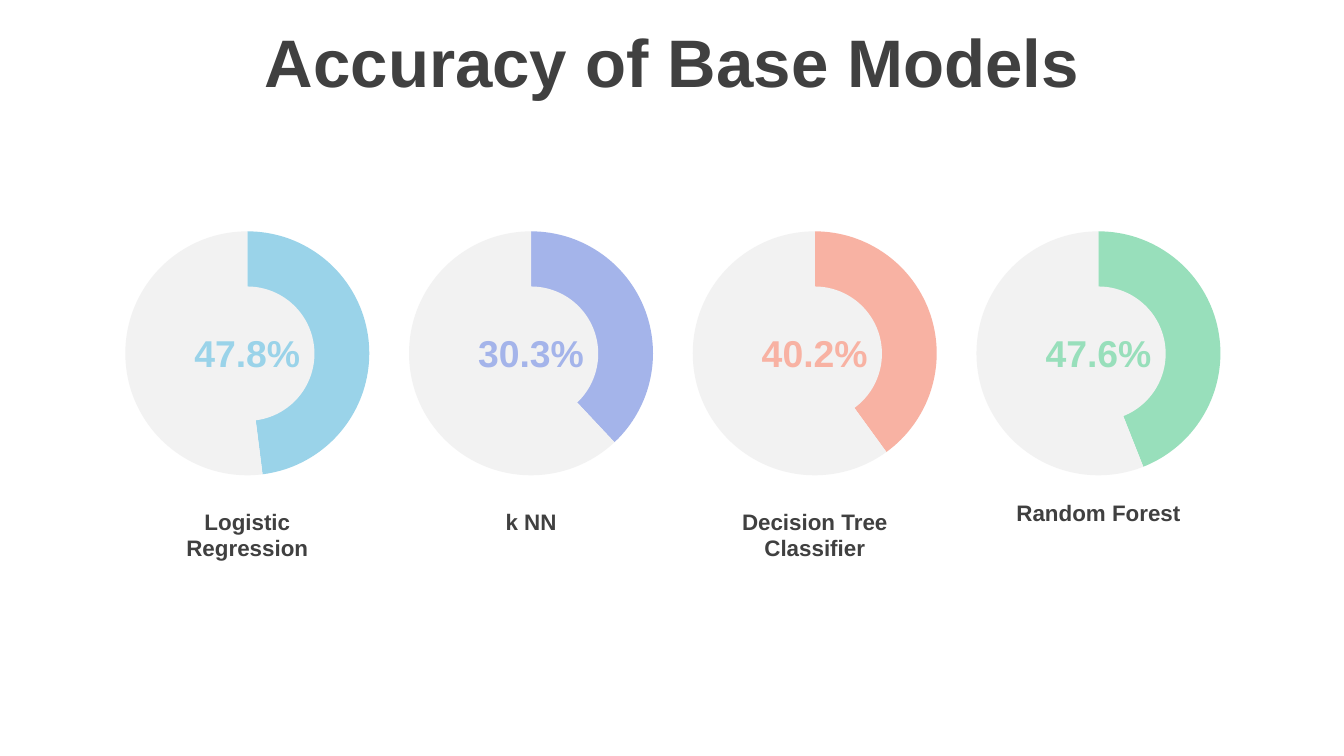
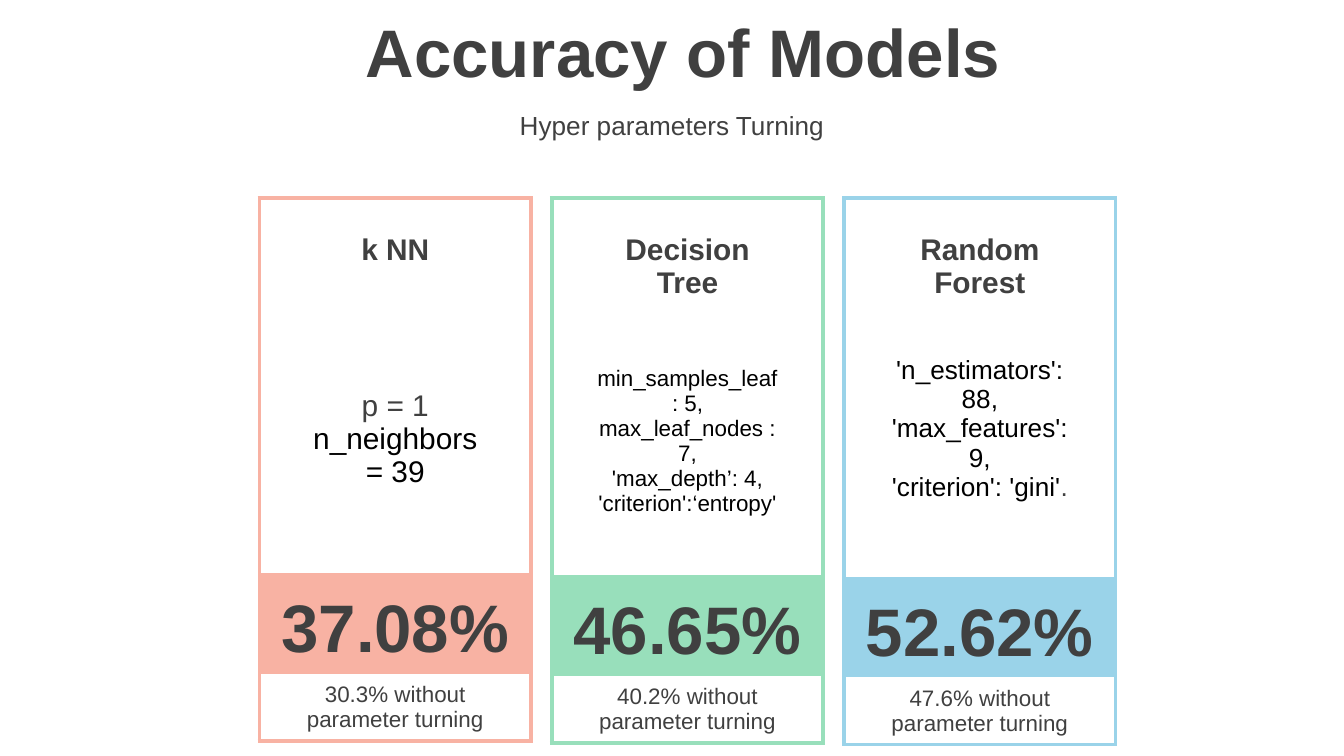
from dataclasses import dataclass
from typing import NamedTuple

from lxml.etree import SubElement, fromstring
from pptx import Presentation
from pptx.chart.data import CategoryChartData
from pptx.dml.color import RGBColor
from pptx.enum.chart import XL_CHART_TYPE as ChartType
from pptx.enum.shapes import MSO_SHAPE as ShapeType
from pptx.enum.text import MSO_ANCHOR as Anchor, PP_ALIGN as Align
from pptx.oxml.ns import nsdecls, qn
from pptx.slide import Slide
from pptx.table import Table, _Cell as Cell
from pptx.text.text import TextFrame
from pptx.util import Pt

# Shared style
FONT = "Arial"
BLACK = RGBColor(0x00, 0x00, 0x00)
WHITE = RGBColor(0xFF, 0xFF, 0xFF)
DARK = RGBColor(0x40, 0x40, 0x40)
PALE = RGBColor(0xF2, 0xF2, 0xF2)
BLUE = RGBColor(0x9A, 0xD3, 0xE9)
VIOLET = RGBColor(0xA4, 0xB4, 0xEA)
CORAL = RGBColor(0xF8, 0xB2, 0xA3)
GREEN = RGBColor(0x98, 0xDF, 0xBB)

SLIDE_WIDTH, SLIDE_HEIGHT = 720, 405
BORDER_WIDTH = 2.25


class Box(NamedTuple):
    left: float
    top: float
    width: float
    height: float


class Run(NamedTuple):
    text: str
    color: RGBColor = BLACK


@dataclass
class BaseModel:
    name: str
    accuracy: str
    share: int
    color: RGBColor
    label_top: float = 268.5


@dataclass
class TunedModel:
    name: str
    parameters: list[list[Run]]
    parameter_size: float
    accuracy: str
    base_accuracy: str
    color: RGBColor
    gap_height: float = 8
    parameter_bottom: float = 3.6


BASE_MODELS = [
    BaseModel("Logistic Regression", "47.8%", 48, BLUE),
    BaseModel("k NN", "30.3%", 38, VIOLET),
    BaseModel("Decision Tree Classifier", "40.2%", 40, CORAL),
    BaseModel("Random Forest", "47.6%", 44, GREEN, label_top=264),
]

TUNED_MODELS = [
    TunedModel("k NN", [[Run("p = 1", DARK)], [Run("n_neighbors = 39")]],
               16, "37.08%", "30.3%", CORAL),
    TunedModel("Decision Tree",
               [[Run("min_samples_leaf: 5, max_leaf_nodes : 7,")],
                [Run("'max_depth’: 4, 'criterion':‘entropy'")]],
               12, "46.65%", "40.2%", GREEN),
    TunedModel("Random Forest",
               [[Run("'n_estimators': 88, 'max_features': 9,")],
                [Run("'criterion': 'gini'"), Run(".", DARK)]],
               14, "52.62%", "47.6%", BLUE, gap_height=9, parameter_bottom=19),
]


# Text
def write_text(frame: TextFrame, text: str | list[list[Run]], *, size: float,
               color: RGBColor = DARK, bold: bool = False) -> None:
    """Write centred text, given as a string or as runs per paragraph."""
    paragraphs = [[Run(text, color)]] if isinstance(text, str) else text
    frame.word_wrap = True
    for index, runs in enumerate(paragraphs):
        paragraph = frame.add_paragraph() if index else frame.paragraphs[0]
        paragraph.alignment = Align.CENTER
        for part in runs:
            run = paragraph.add_run()
            run.text = part.text
            run.font.name = FONT
            run.font.size = Pt(size)
            run.font.bold = bold
            run.font.color.rgb = part.color


def add_text(slide: Slide, box: Box, text: str, *, size: float, color: RGBColor = DARK,
             bold: bool = False, anchor: Anchor = Anchor.MIDDLE) -> None:
    frame = slide.shapes.add_textbox(*map(Pt, box)).text_frame
    frame.vertical_anchor = anchor
    write_text(frame, text, size=size, color=color, bold=bold)


def add_title(slide: Slide, text: str, left: float, top: float) -> None:
    add_text(slide, Box(left, top, SLIDE_WIDTH, 45), text, size=36, bold=True)


# Doughnut with its centre disc, percentage and label
def add_ring_chart(slide: Slide, box: Box, model: BaseModel) -> None:
    data = CategoryChartData()
    data.categories = ["1", "2"]
    data.add_series("Series 1", [model.share, 100 - model.share])
    chart = slide.shapes.add_chart(ChartType.DOUGHNUT, *map(Pt, box), data).chart
    chart.has_legend = False
    chart.has_title = False
    chart.font.name = FONT
    chart.font.size = Pt(18)
    chart.font.color.rgb = BLACK
    plot = chart.plots[0]
    plot.vary_by_categories = True
    for index, color in enumerate([model.color, PALE]):
        point_format = plot.series[0].points[index].format
        point_format.fill.solid()
        point_format.fill.fore_color.rgb = color
        point_format.line.fill.background()

    # Hole size and plot area layout
    plot_area = chart._chartSpace.chart.plotArea
    hole = plot_area.find(".//" + qn("c:holeSize"))
    hole.set("val", "75")
    for layout in plot_area.findall(qn("c:layout")):
        plot_area.remove(layout)
    plot_area.insert(0, fromstring(
        f'<c:layout {nsdecls("c")}><c:manualLayout><c:layoutTarget val="inner"/>'
        '<c:xMode val="edge"/><c:yMode val="edge"/><c:x val="0"/><c:y val="0.022"/>'
        '<c:w val="1"/><c:h val="0.965"/></c:manualLayout></c:layout>'))


def add_base_model(slide: Slide, center: float, model: BaseModel) -> None:
    def centered(top: float, width: float, height: float) -> Box:
        return Box(center - width / 2, top, width, height)

    add_ring_chart(slide, centered(121, 131, 135.5), model)
    disc = slide.shapes.add_shape(ShapeType.OVAL, *map(Pt, centered(153.5, 72, 72)))
    disc.shadow.inherit = False
    disc.fill.solid()
    disc.fill.fore_color.rgb = PALE
    disc.line.fill.background()
    add_text(slide, centered(173, 73.5, 31.5), model.accuracy,
             size=20, color=model.color, bold=True)
    add_text(slide, centered(model.label_top, 121, 36), model.name,
             size=12, bold=True, anchor=Anchor.TOP)


# Table card of one tuned model
def set_borders(cell: Cell, color: RGBColor, edges: dict[str, bool]) -> None:
    properties = cell._tc.get_or_add_tcPr()
    for side, visible in edges.items():
        line = SubElement(properties, qn(f"a:ln{side}"), w=str(Pt(BORDER_WIDTH)))
        if visible:
            fill = SubElement(line, qn("a:solidFill"))
            SubElement(fill, qn("a:srgbClr"), val=str(color))
        else:
            SubElement(line, qn("a:noFill"))


def style_cells(table: Table, color: RGBColor, band_row: int) -> None:
    last_row, last_column = len(table.rows) - 1, len(table.columns) - 1
    for row in range(last_row + 1):
        for column in range(last_column + 1):
            cell = table.cell(row, column)
            right = column + (cell.span_width if cell.is_merge_origin else 1) - 1
            set_borders(cell, color, {"L": column == 0, "R": right == last_column,
                                      "T": row == 0, "B": row == last_row})
            cell.fill.solid()
            cell.fill.fore_color.rgb = color if row == band_row else WHITE
            if not cell.text_frame.text:
                # Keep empty cells from stretching their rows
                cell.margin_top = cell.margin_bottom = 0
                SubElement(cell.text_frame.paragraphs[0]._p, qn("a:endParaRPr"), sz="100")


def add_tuned_model(slide: Slide, left: float, model: TunedModel) -> None:
    widths = [16.5, 111, 16.5]
    heights = [14, 46, model.gap_height, 30, 93, 10, 54, 35]
    box = Box(left, 106, sum(widths), sum(heights))
    table = slide.shapes.add_table(len(heights), len(widths), *map(Pt, box)).table
    table.first_row = table.horz_banding = False
    for column, width in zip(table.columns, widths):
        column.width = Pt(width)
    for row, height in zip(table.rows, heights):
        row.height = Pt(height)

    name, parameters = table.cell(1, 1), table.cell(3, 1)
    accuracy, base = table.cell(6, 0), table.cell(7, 0)
    parameters.merge(table.cell(4, 1))
    accuracy.merge(table.cell(6, 2))
    base.merge(table.cell(7, 2))

    name.vertical_anchor = Anchor.TOP
    name.margin_top = Pt(5)
    parameters.vertical_anchor = Anchor.MIDDLE
    parameters.margin_left = parameters.margin_right = Pt(6)
    parameters.margin_bottom = Pt(model.parameter_bottom)
    accuracy.vertical_anchor = Anchor.BOTTOM
    base.vertical_anchor = Anchor.MIDDLE

    write_text(name.text_frame, model.name, size=16, bold=True)
    write_text(parameters.text_frame, model.parameters, size=model.parameter_size)
    write_text(accuracy.text_frame, model.accuracy, size=36, bold=True)
    write_text(base.text_frame, f"{model.base_accuracy} without parameter turning", size=12)
    style_cells(table, model.color, band_row=6)


def main() -> None:
    presentation = Presentation()
    presentation.slide_width = Pt(SLIDE_WIDTH)
    presentation.slide_height = Pt(SLIDE_HEIGHT)
    blank = presentation.slide_layouts[6]

    # Slide 1: base models
    slide = presentation.slides.add_slide(blank)
    add_title(slide, "Accuracy of Base Models", 0, 10)
    for index, model in enumerate(BASE_MODELS):
        add_base_model(slide, 132.5 + 152 * index, model)

    # Slide 2: tuned models
    slide = presentation.slides.add_slide(blank)
    add_title(slide, "Accuracy of Models", 6, 4.5)
    add_text(slide, Box(0, 55.5, SLIDE_WIDTH, 22.5), "Hyper parameters Turning", size=14)
    for index, model in enumerate(TUNED_MODELS):
        add_tuned_model(slide, 139 + 156.6 * index, model)

    presentation.save("out.pptx")


if __name__ == "__main__":
    main()
